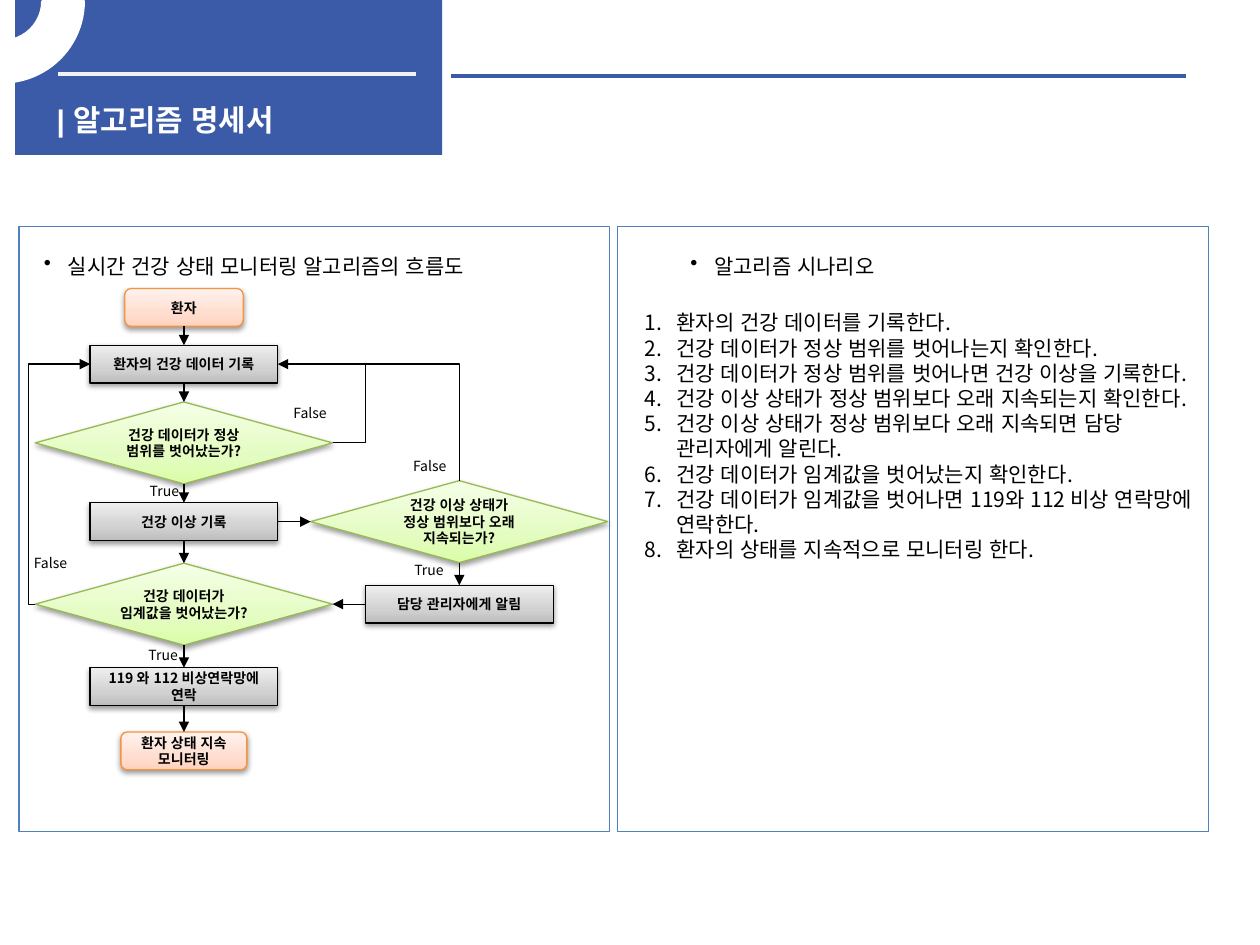
from lxml.etree import SubElement
from pptx import Presentation
from pptx.dml.color import RGBColor
from pptx.enum.lang import MSO_LANGUAGE_ID as Language
from pptx.enum.shapes import MSO_CONNECTOR as Route, MSO_SHAPE as Form
from pptx.enum.text import MSO_ANCHOR as Anchor, MSO_AUTO_SIZE as Fit, PP_ALIGN as Align
from pptx.oxml.ns import qn
from pptx.util import Inches, Pt

# The grid has 100 columns and 75 rows
CELL = Inches(0.1)
FONT = "Noto Sans CJK KR"
TOP, LEFT, BOTTOM, RIGHT = range(4)

BLACK = RGBColor(0x00, 0x00, 0x00)
WHITE = RGBColor(0xFF, 0xFF, 0xFF)
PALE = RGBColor(0xF2, 0xF2, 0xF2)
BLUE = RGBColor(0x3B, 0x5A, 0xA8)
PANEL = RGBColor(0x4F, 0x81, 0xBD)
ORANGE = RGBColor(0xF6, 0x92, 0x40)
GREEN = RGBColor(0x98, 0xB9, 0x55)


def shades(*codes):
    return [RGBColor.from_string(code) for code in codes]


# Kind of step: form, width, height, outline, gradient from bottom to top, side margin
STEPS = {
    "end": (Form.FLOWCHART_ALTERNATE_PROCESS, 10, 3, ORANGE,
            shades("FFD2BD", "FFDED0", "FFF2ED"), 1),
    "process": (Form.FLOWCHART_PROCESS, 14.9, 3, BLACK,
                shades("BDBDBD", "D1D1D1", "EEEEEE"), 1),
    "decision": (Form.FLOWCHART_DECISION, 23.6, 6.5, GREEN,
                 shades("DAFDA7", "E4FCC2", "F5FFE7"), 0),
}


def grid(*cells):
    return [round(cell * CELL) for cell in cells]


def write(para, text, size=8, color=BLACK, bold=False, font=FONT, align=Align.LEFT):
    para.text = text
    para.alignment = align
    for span in para.runs:
        span.font.size = Pt(size)
        span.font.bold = bold
        span.font.color.rgb = color
        span.font.name = font
        span.font.language_id = Language.KOREAN
        SubElement(span.font._element, qn("a:ea"), typeface=FONT)


def bullet(para, indent, hang, tag, **values):
    props = para._p.get_or_add_pPr()
    props.set("marL", str(Inches(indent)))
    props.set("indent", str(-Inches(hang)))
    SubElement(props, qn(tag), **values)


class SlideBuilder:
    def __init__(self, page):
        self.page = page

    def title(self, text, *place):
        box = self.page.shapes.title
        box.left, box.top, box.width, box.height = grid(*place)
        frame = box.text_frame
        frame.auto_size = Fit.NONE
        frame.vertical_anchor = Anchor.TOP
        write(frame.paragraphs[0], text, size=17, color=WHITE, bold=True, font="Arial")
        return box

    def shape(self, form, *place, fill=None, line=None, weight=0.75):
        box = self.page.shapes.add_shape(form, *grid(*place))
        box.shadow.inherit = False
        if fill is None:
            box.fill.background()
        else:
            box.fill.solid()
            box.fill.fore_color.rgb = fill
        if line is None:
            box.line.fill.background()
        else:
            box.line.color.rgb = line
            box.line.width = Pt(weight)
        return box

    def step(self, kind, text, center, middle, width=None):
        form, usual, height, line, colors, margin = STEPS[kind]
        width = width or usual
        box = self.shape(form, center - width / 2, middle - height / 2, width, height, line=line)
        # Three-stop gradient
        box.fill.gradient()
        box.fill.gradient_angle = 90
        props = box.element.spPr
        stops = props.find(".//" + qn("a:gsLst"))
        for stop in list(stops):
            stops.remove(stop)
        for share, color in zip((0, 35, 100), colors):
            stop = SubElement(stops, qn("a:gs"), pos=str(share * 1000))
            SubElement(stop, qn("a:srgbClr"), val=str(color))
        # Soft shadow below
        shadow = SubElement(props.find(qn("a:effectLst")), qn("a:outerShdw"), blurRad="40000",
                            dist="20000", dir="5400000", rotWithShape="0")
        shade = SubElement(shadow, qn("a:srgbClr"), val=str(BLACK))
        SubElement(shade, qn("a:alpha"), val="38000")
        # Caption
        frame = box.text_frame
        frame.word_wrap = True
        frame.vertical_anchor = Anchor.MIDDLE
        frame.margin_left = frame.margin_right = grid(margin)[0]
        write(frame.paragraphs[0], text, bold=True, align=Align.CENTER)
        return box

    def text(self, lines, *place, size=8):
        box = self.page.shapes.add_textbox(*grid(*place))
        frame = box.text_frame
        frame.word_wrap = True
        frame.auto_size = Fit.SHAPE_TO_FIT_TEXT
        for index, line in enumerate(lines):
            para = frame.add_paragraph() if index else frame.paragraphs[0]
            write(para, line, size=size)
        return frame.paragraphs

    def line(self, *ends, route=Route.STRAIGHT, color=BLACK, weight=0.75):
        link = self.page.shapes.add_connector(route, *grid(*ends))
        link.line.color.rgb = color
        link.line.width = Pt(weight)
        SubElement(link.element.spPr, qn("a:effectLst"))
        return link

    def link(self, start, start_side, end, end_side, arrow="tailEnd", **style):
        link = self.line(0, 0, 1, 1, **style)
        link.begin_connect(start, start_side)
        link.end_connect(end, end_side)
        SubElement(link.line._get_or_add_ln(), qn("a:" + arrow), type="triangle")
        return link


def main():
    deck = Presentation()
    deck.slide_width, deck.slide_height = grid(100, 75)
    slide = SlideBuilder(deck.slides.add_slide(deck.slide_layouts[5]))

    # Header
    title = slide.title("| 알고리즘 명세서", 3.5, 7.6, 32.3, 3)
    banner = slide.shape(Form.RECTANGLE, 1.2, 0, 33.9, 12.3, fill=BLUE)
    title.element.addprevious(banner.element)
    slide.line(4.6, 5.9, 33, 5.9, color=PALE, weight=2.25)
    slide.line(35.8, 6, 94.1, 6, color=BLUE, weight=2.25)
    arc = slide.shape(Form.BLOCK_ARC, -6.3, -6.3, 12.9, 12.8, fill=WHITE, line=WHITE, weight=2)
    arc.adjustments[0], arc.adjustments[1], arc.adjustments[2] = 96.95, 0, 0.25
    arc.element.spPr.find(qn("a:xfrm")).set("flipV", "1")

    # Panels and their headings
    for left in (1.5, 49):
        slide.shape(Form.RECTANGLE, left, 18, 46.9, 48, line=PANEL)
    for heading, left, level, indent in (
        ("알고리즘 시나리오", 48.8, 1, 0.69),
        ("실시간 건강 상태 모니터링 알고리즘의 흐름도", 2.5, 0, 0.19),
    ):
        para = slide.text([heading], left, 19.6, 46.9, 3, size=12)[0]
        para.level = level
        bullet(para, indent, 0.19, "a:buChar", char="•")

    # Flowchart steps
    spine, side = 14.6, 36.45
    patient = slide.step("end", "환자", spine, 24.4, width=9.4)
    record = slide.step("process", "환자의 건강 데이터 기록", spine, 28.9)
    in_range = slide.step("decision", "건강 데이터가 정상\v범위를 벗어났는가?", spine, 35.15)
    log = slide.step("process", "건강 이상 기록", spine, 41.4)
    lasting = slide.step("decision", "건강 이상 상태가\v정상 범위보다 오래\v지속되는가?", side, 41.4)
    notify = slide.step("process", "담당 관리자에게 알림", side, 47.95)
    critical = slide.step("decision", "건강 데이터가\v임계값을 벗어났는가?", spine, 47.95)
    contact = slide.step("process", "119 와 112 비상연락망에 연락", spine, 54.5)
    monitor = slide.step("end", "환자 상태 지속 모니터링", spine, 59.6)

    # Straight arrows
    column = [patient, record, in_range, log, critical, contact, monitor]
    for upper, lower in [*zip(column, column[1:]), (lasting, notify)]:
        slide.link(upper, BOTTOM, lower, TOP)
    slide.link(log, RIGHT, lasting, LEFT)
    slide.link(notify, LEFT, critical, RIGHT)

    # Loops back to the record step
    long_loop = slide.link(record, RIGHT, lasting, TOP, arrow="headEnd", route=Route.ELBOW)
    short_loop = slide.line(26.4, 35.15, 29, 28.9, route=Route.ELBOW)
    short_loop.begin_connect(in_range, RIGHT)
    for loop in (long_loop, short_loop):
        loop.element.spPr.find(qn("a:prstGeom")).set("prst", "bentConnector2")
    left_loop = slide.link(critical, LEFT, record, LEFT, route=Route.ELBOW)
    guides = left_loop.element.spPr.find(".//" + qn("a:avLst"))
    SubElement(guides, qn("a:gd"), name="adj1", fmla="val -12700")

    # Branch labels
    for label, left, top in (
        ("True", 10.9, 37.8), ("True", 31.9, 44.1), ("True", 10.8, 50.8),
        ("False", 22.3, 31.6), ("False", 31.8, 35.8), ("False", 1.7, 43.5),
    ):
        slide.text([label], left, top, 6.3, 2.4)

    # Scenario
    scenario = [
        "환자의 건강 데이터를 기록한다.",
        "건강 데이터가 정상 범위를 벗어나는지 확인한다.",
        "건강 데이터가 정상 범위를 벗어나면 건강 이상을 기록한다.",
        "건강 이상 상태가 정상 범위보다 오래 지속되는지 확인한다.",
        "건강 이상 상태가 정상 범위보다 오래 지속되면 담당 관리자에게 알린다.",
        "건강 데이터가 임계값을 벗어났는지 확인한다.",
        "건강 데이터가 임계값을 벗어나면 119와 112 비상 연락망에 연락한다.",
        "환자의 상태를 지속적으로 모니터링 한다.",
    ]
    for para in slide.text(scenario, 50.2, 24.1, 46.1, 25.2, size=12):
        bullet(para, 0.25, 0.25, "a:buAutoNum", type="arabicPeriod")

    deck.save("out.pptx")


if __name__ == "__main__":
    main()
